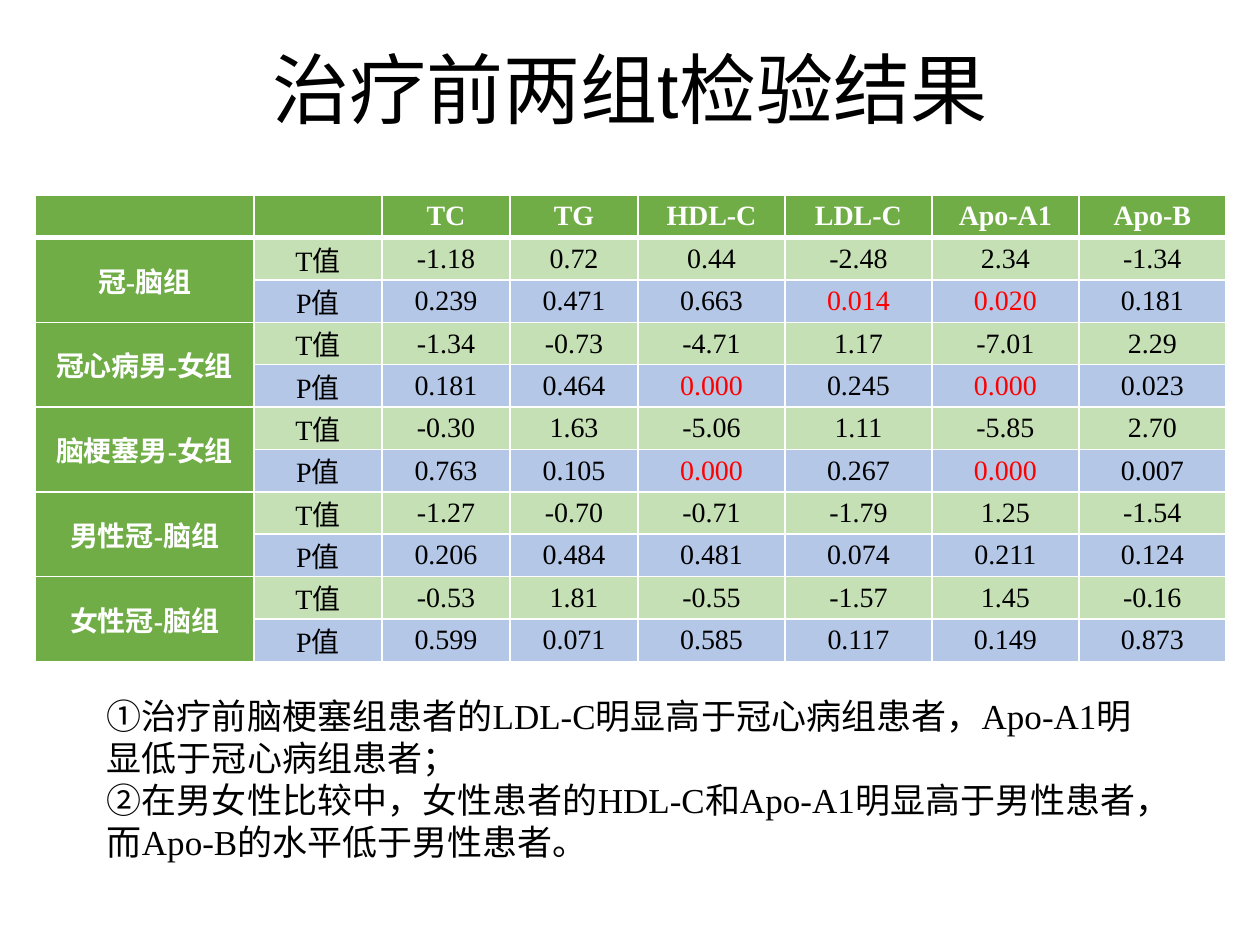
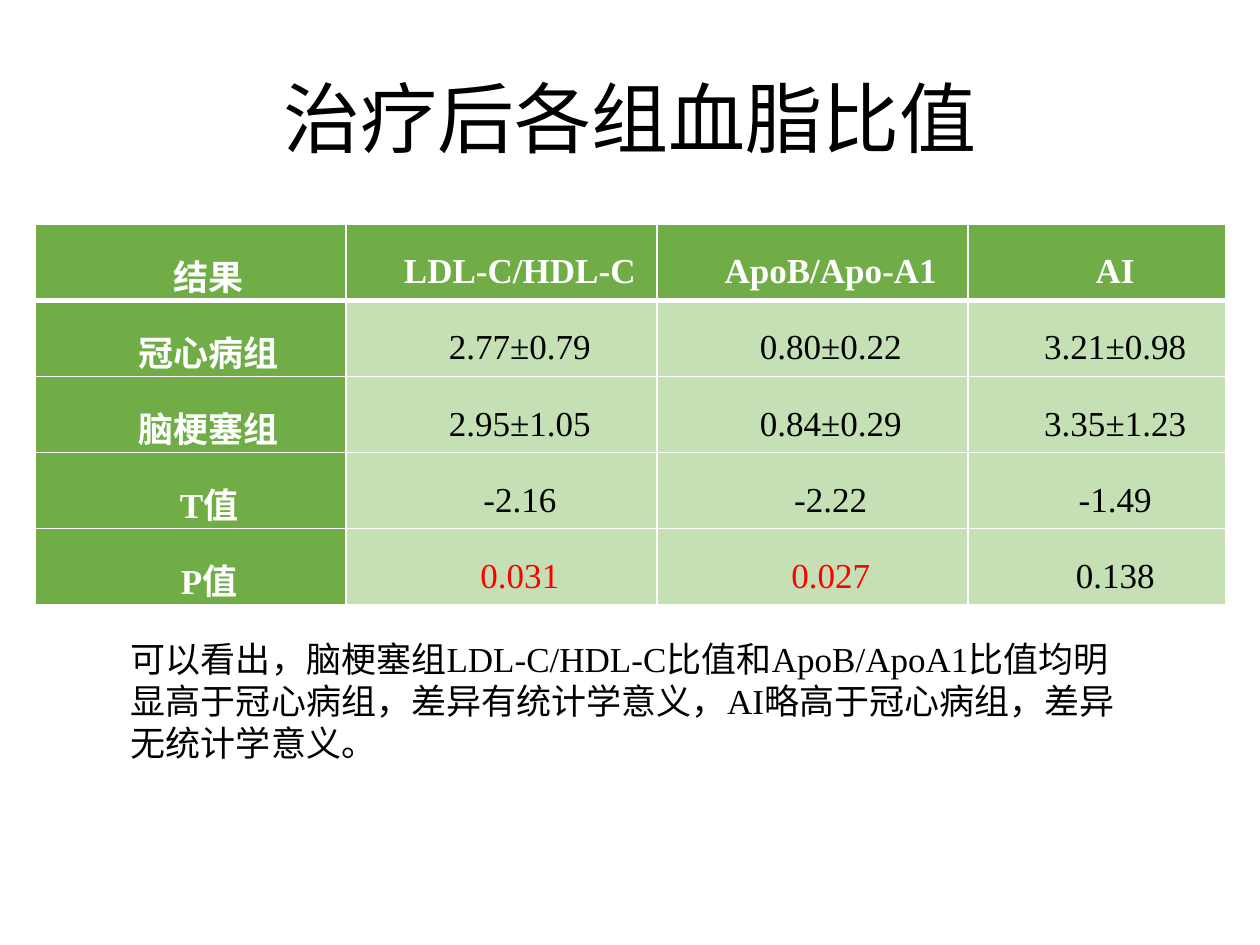
"""Build two slides of blood lipid test results, each with a table and a conclusion."""
from dataclasses import dataclass, field
from typing import Any

from lxml import etree
from pptx import Presentation, util as u
from pptx.dml.color import RGBColor
from pptx.enum import text
from pptx.oxml import ns

COLORS = {
    "ink": "000000",
    "white": "FFFFFF",
    "header": "70AD47",
    "green": "C5E0B4",
    "blue": "B4C7E7",
    "significant": "FF0000",
}
BODY_FONT = "Times New Roman"
TITLE_FONT = "Arial"
TABLE_LEFT, TABLE_WIDTH = 0.28, 9.45
THIN, THICK = 1, 3


@dataclass
class Box:
    left: float
    top: float
    width: float
    height: float

    def lengths(self) -> list[u.Length]:
        return [u.Inches(n) for n in (self.left, self.top, self.width, self.height)]


@dataclass
class ResultTable:
    top: float
    height: float
    shares: list[float]
    rows: list[list[str]]
    significant: set[str]
    bands: list[str]
    size: int
    indent: float = 0
    label_span: int = 1
    spacing: dict[str, Any] = field(default_factory=dict)


@dataclass
class ResultPage:
    title: str
    title_box: Box
    table: ResultTable
    conclusions: list[str]
    conclusion_box: Box


def apply(target: Any, values: dict[str, Any]) -> None:
    for name, value in values.items():
        setattr(target, name, value)


def write(para: Any, words: str, color: str, font: str, size: int, bold: bool = False) -> None:
    span = para.add_run()
    span.text = words
    apply(span.font, {"name": font, "size": u.Pt(size), "bold": bold})
    span.font.color.rgb = RGBColor.from_string(COLORS[color])


def add_title(page: Any, words: str, box: Box) -> None:
    frame = page.shapes.add_textbox(*box.lengths()).text_frame
    apply(frame, {"word_wrap": True, "vertical_anchor": text.MSO_ANCHOR.MIDDLE})
    para = frame.paragraphs[0]
    apply(para, {"alignment": text.PP_ALIGN.CENTER, "line_spacing": 0.9})
    write(para, words, "ink", TITLE_FONT, 44)


def add_conclusions(page: Any, lines: list[str], box: Box) -> None:
    frame = page.shapes.add_textbox(*box.lengths()).text_frame
    apply(frame, {"word_wrap": True, "auto_size": text.MSO_AUTO_SIZE.SHAPE_TO_FIT_TEXT})
    for number, line in enumerate(lines):
        para = frame.add_paragraph() if number else frame.paragraphs[0]
        write(para, line, "ink", BODY_FONT, 20)


def set_borders(cell: Any, top: int, bottom: int) -> None:
    properties = cell._tc.get_or_add_tcPr()
    sides = {"lnL": THIN, "lnR": THIN, "lnT": top, "lnB": bottom}
    for position, (side, points) in enumerate(sides.items()):
        line = etree.Element(ns.qn(f"a:{side}"), w=str(u.Pt(points)))
        fill = etree.SubElement(line, ns.qn("a:solidFill"))
        etree.SubElement(fill, ns.qn("a:srgbClr"), val=COLORS["white"])
        properties.insert(position, line)


def fill_cell(cell: Any, words: str, row: int, column: int, table: ResultTable) -> None:
    heading = row == 0 or column == 0
    fill = "header" if heading else table.bands[(row - 1) % len(table.bands)]
    cell.fill.solid()
    cell.fill.fore_color.rgb = RGBColor.from_string(COLORS[fill])
    apply(cell, {
        "margin_left": u.Inches(0.07), "margin_right": u.Inches(0.07),
        "margin_top": 0, "margin_bottom": 0,
        "vertical_anchor": text.MSO_ANCHOR.MIDDLE,
    })
    set_borders(cell, THICK if row == 1 else THIN, THICK if row == 0 else THIN)
    para = cell.text_frame.paragraphs[0]
    apply(para, {"alignment": text.PP_ALIGN.CENTER} | table.spacing)
    if table.indent:
        para._p.get_or_add_pPr().set("indent", str(u.Inches(table.indent)))
    if words:
        body = "significant" if words in table.significant else "ink"
        write(para, words, "white" if heading else body, BODY_FONT, table.size, heading)


def add_result_table(page: Any, table: ResultTable) -> None:
    box = Box(TABLE_LEFT, table.top, TABLE_WIDTH, table.height)
    grid = page.shapes.add_table(len(table.rows), len(table.shares), *box.lengths()).table
    for column, share in zip(grid.columns, table.shares):
        column.width = u.Inches(TABLE_WIDTH * share / sum(table.shares))
    for row, values in enumerate(table.rows):
        grid.rows[row].height = u.Inches(table.height / len(table.rows))
        for column, words in enumerate(values):
            fill_cell(grid.cell(row, column), words, row, column, table)
    if table.label_span > 1:
        for row in range(1, len(table.rows), table.label_span):
            grid.cell(row, 0).merge(grid.cell(row + table.label_span - 1, 0))


BEFORE = ResultPage(
    "治疗前两组t检验结果",
    Box(0.69, 0.13, 8.62, 1.22),
    ResultTable(
        top=1.55,
        height=3.7,
        shares=[1.74] + [1.02] * 3 + [1.17] * 4,
        rows=[
            ["", "", "TC", "TG", "HDL-C", "LDL-C", "Apo-A1", "Apo-B"],
            ["冠-脑组", "T值", "-1.18", "0.72", "0.44", "-2.48", "2.34", "-1.34"],
            ["", "P值", "0.239", "0.471", "0.663", "0.014", "0.020", "0.181"],
            ["冠心病男-女组", "T值", "-1.34", "-0.73", "-4.71", "1.17", "-7.01", "2.29"],
            ["", "P值", "0.181", "0.464", "0.000", "0.245", "0.000", "0.023"],
            ["脑梗塞男-女组", "T值", "-0.30", "1.63", "-5.06", "1.11", "-5.85", "2.70"],
            ["", "P值", "0.763", "0.105", "0.000", "0.267", "0.000", "0.007"],
            ["男性冠-脑组", "T值", "-1.27", "-0.70", "-0.71", "-1.79", "1.25", "-1.54"],
            ["", "P值", "0.206", "0.484", "0.481", "0.074", "0.211", "0.124"],
            ["女性冠-脑组", "T值", "-0.53", "1.81", "-0.55", "-1.57", "1.45", "-0.16"],
            ["", "P值", "0.599", "0.071", "0.585", "0.117", "0.149", "0.873"],
        ],
        significant={"0.014", "0.020", "0.000"},
        bands=["green", "blue"],
        size=16,
        label_span=2,
    ),
    [
        "①治疗前脑梗塞组患者的LDL-C明显高于冠心病组患者，Apo-A1明显低于冠心病组患者；",
        "②在男女性比较中，女性患者的HDL-C和Apo-A1明显高于男性患者，而Apo-B的水平低于男性患者。",
    ],
    Box(0.75, 5.46, 8.5, 1.75),
)

AFTER = ResultPage(
    "治疗后各组血脂比值",
    Box(0.69, 0.4, 8.62, 1.15),
    ResultTable(
        top=1.78,
        height=3.02,
        shares=[2.47] * 3 + [2.05],
        rows=[
            ["结果", "LDL-C/HDL-C", "ApoB/Apo-A1", "AI"],
            ["冠心病组", "2.77±0.79", "0.80±0.22", "3.21±0.98"],
            ["脑梗塞组", "2.95±1.05", "0.84±0.29", "3.35±1.23"],
            ["T值", "-2.16", "-2.22", "-1.49"],
            ["P值", "0.031", "0.027", "0.138"],
        ],
        significant={"0.031", "0.027"},
        bands=["green"],
        size=20,
        indent=0.29,
        spacing={"line_spacing": 1.5, "space_after": u.Pt(6)},
    ),
    [
        "可以看出，脑梗塞组LDL-C/HDL-C比值和ApoB/ApoA1比值均明显高于冠心病组，"
        "差异有统计学意义，AI略高于冠心病组，差异无统计学意义。",
    ],
    Box(0.94, 5.01, 8.11, 1.11),
)


def main() -> None:
    deck = Presentation()
    apply(deck, {"slide_width": u.Inches(10), "slide_height": u.Inches(7.5)})
    for result in (BEFORE, AFTER):
        page = deck.slides.add_slide(deck.slide_layouts[6])
        add_title(page, result.title, result.title_box)
        add_result_table(page, result.table)
        add_conclusions(page, result.conclusions, result.conclusion_box)
    deck.save("out.pptx")


if __name__ == "__main__":
    main()
